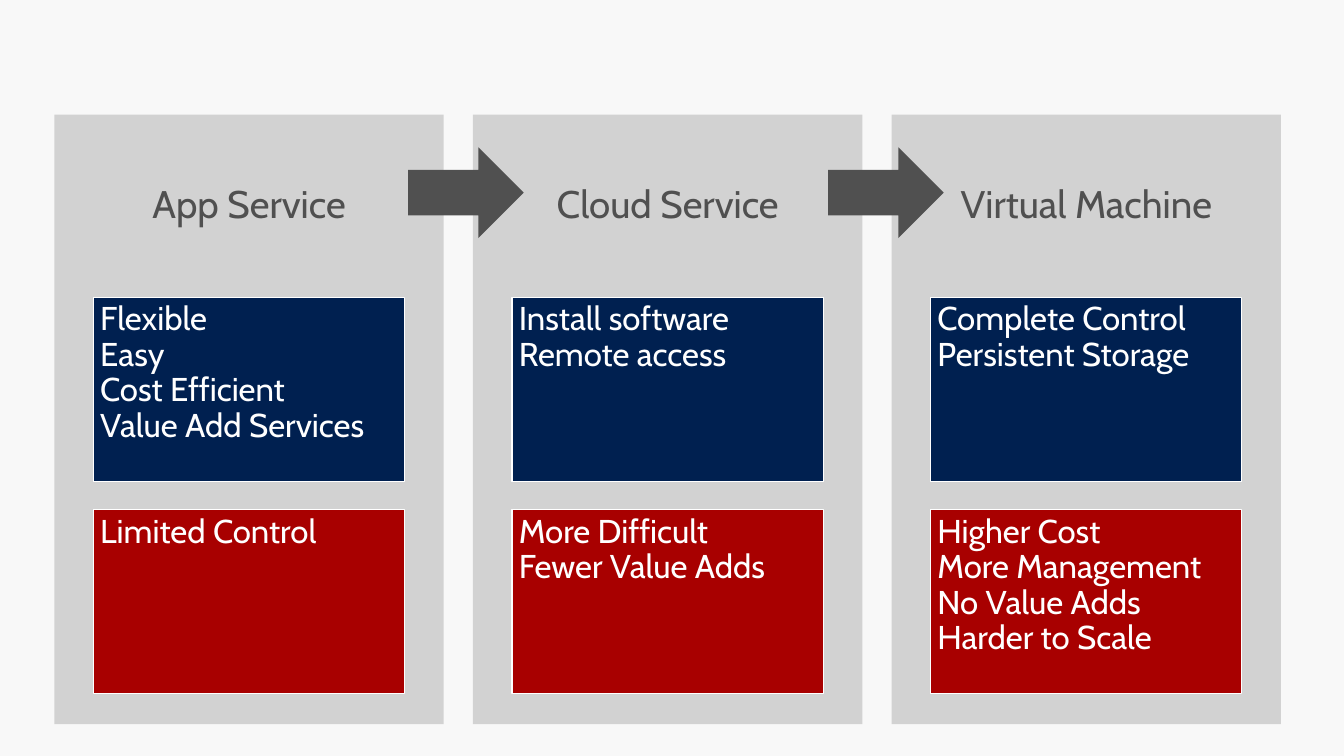
from pptx import Presentation
from pptx.dml.color import RGBColor
from pptx.enum.shapes import MSO_SHAPE
from pptx.enum.text import MSO_ANCHOR, PP_ALIGN
from pptx.util import Pt

RECT = MSO_SHAPE.RECTANGLE
ARROW = MSO_SHAPE.RIGHT_ARROW
LEFT, CENTER = PP_ALIGN.LEFT, PP_ALIGN.CENTER
TOP, MIDDLE = MSO_ANCHOR.TOP, MSO_ANCHOR.MIDDLE

PAPER = RGBColor(0xF8, 0xF8, 0xF8)
SILVER = RGBColor(0xD2, 0xD2, 0xD2)
GRAY = RGBColor(0x50, 0x50, 0x50)
NAVY = RGBColor(0x00, 0x20, 0x50)
RED = RGBColor(0xA8, 0x00, 0x00)
WHITE = RGBColor(0xFF, 0xFF, 0xFF)

FONT = "Cabin"
PANEL_X, PANEL_Y, PANEL_W, PANEL_H = 39.6, 83.5, 283.7, 444.2
PANEL_STEP = 305
TITLE_H = 133.2
CARD_DX, CARD_Y, CARD_W, CARD_H = 28.4, 216.7, 226.8, 133.9
CARD_STEP = 154.8
ARROW_X, ARROW_Y, ARROW_W, ARROW_H = 297.4, 107.3, 84.2, 66.2
ARROW_STEP = 306

OPTIONS = [
    ("App Service",
     "Flexible\nEasy\nCost Efficient\nValue Add Services",
     "Limited Control"),
    ("Cloud Service",
     "Install software\nRemote access",
     "More Difficult\nFewer Value Adds"),
    ("Virtual Machine",
     "Complete Control Persistent Storage",
     "Higher Cost\nMore Management\nNo Value Adds\nHarder to Scale"),
]


def add_box(slide, kind, x, y, w, h, fill, line=None):
    box = slide.shapes.add_shape(kind, Pt(x), Pt(y), Pt(w), Pt(h))
    box.shadow.inherit = False
    box.fill.solid()
    box.fill.fore_color.rgb = fill
    if line is None:
        box.line.fill.background()
    else:
        box.line.color.rgb = line
        box.line.width = Pt(0.85)
    return box


def write(box, text, size=24, color=WHITE, align=LEFT, anchor=TOP,
          side=5, edge=3.6):
    frame = box.text_frame
    frame.word_wrap = True
    frame.vertical_anchor = anchor
    frame.margin_left = frame.margin_right = Pt(side)
    frame.margin_top = frame.margin_bottom = Pt(edge)
    para = frame.paragraphs[0]
    para.text = text
    para.alignment = align
    para.line_spacing = 0.9
    for run in para.runs:
        run.font.name = FONT
        run.font.size = Pt(size)
        run.font.color.rgb = color


def add_panel(slide, x, title, pros, cons):
    add_box(slide, RECT, x, PANEL_Y, PANEL_W, PANEL_H, SILVER)
    head = slide.shapes.add_textbox(Pt(x), Pt(PANEL_Y), Pt(PANEL_W), Pt(TITLE_H))
    write(head, title, size=28, color=GRAY, align=CENTER, anchor=MIDDLE,
          side=8.6, edge=8.6)
    for row, (text, fill) in enumerate([(pros, NAVY), (cons, RED)]):
        card = add_box(slide, RECT, x + CARD_DX, CARD_Y + row * CARD_STEP,
                       CARD_W, CARD_H, fill, WHITE)
        write(card, text)


def main():
    deck = Presentation()
    deck.slide_width, deck.slide_height = Pt(979.2), Pt(550.8)
    slide = deck.slides.add_slide(deck.slide_layouts[6])
    slide.background.fill.solid()
    slide.background.fill.fore_color.rgb = PAPER
    for col, option in enumerate(OPTIONS):
        add_panel(slide, PANEL_X + col * PANEL_STEP, *option)
    for gap in range(len(OPTIONS) - 1):
        add_box(slide, ARROW, ARROW_X + gap * ARROW_STEP, ARROW_Y,
                ARROW_W, ARROW_H, GRAY)
    deck.save("out.pptx")


if __name__ == "__main__":
    main()
